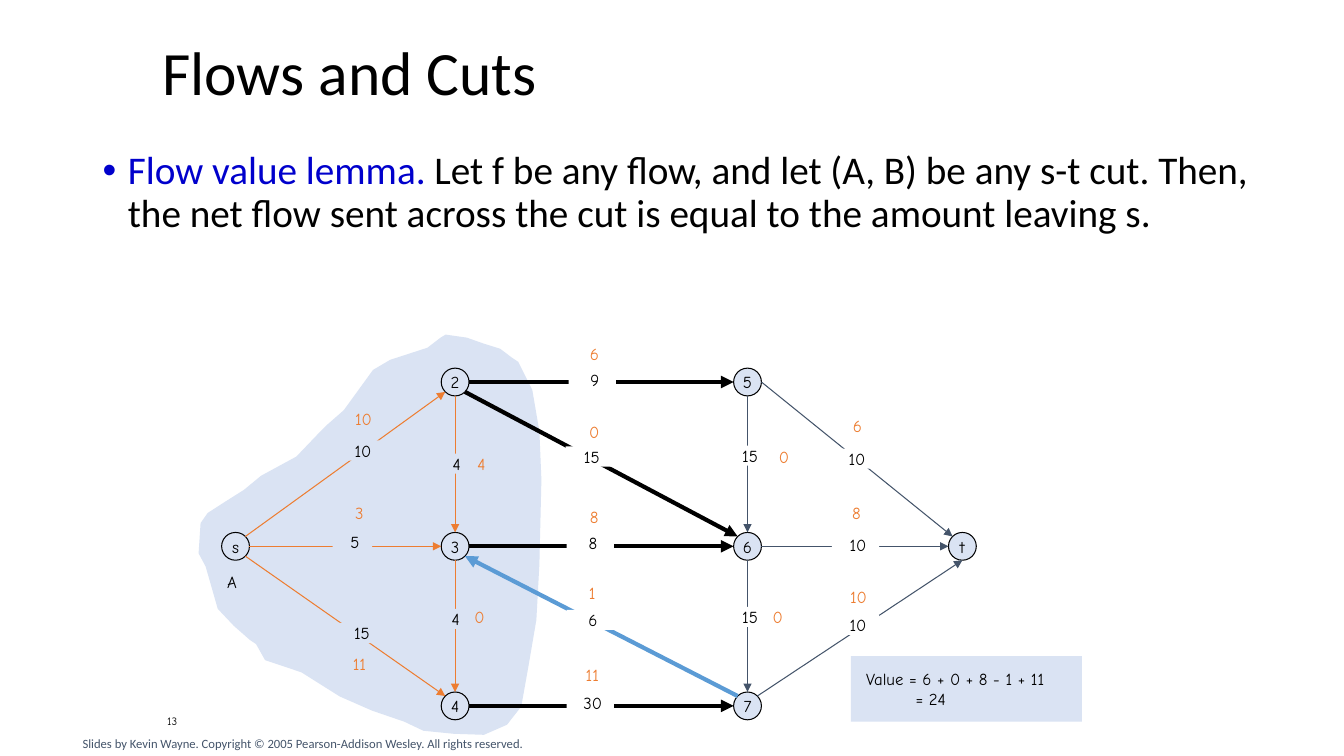
from math import sqrt

from lxml.etree import SubElement
from pptx import Presentation
from pptx.dml.color import RGBColor
from pptx.enum.shapes import MSO_CONNECTOR, MSO_SHAPE
from pptx.enum.text import MSO_ANCHOR, MSO_AUTO_SIZE, PP_ALIGN
from pptx.oxml.ns import qn
from pptx.util import Inches, Pt

BLACK, WHITE, PALE = "000000", "FFFFFF", "DAE3F3"
ORANGE, BLUE, SLATE, INDIGO = "ED7D31", "5B9BD5", "44546A", "0000CC"
HAND, SANS = "Comic Neue", "Calibri"
RADIUS = 1.38

DIAGONAL = sqrt(0.5)
COMPASS = {
    "N": (0, -1), "S": (0, 1), "W": (-1, 0), "E": (1, 0),
    "NE": (DIAGONAL, -DIAGONAL), "NW": (-DIAGONAL, -DIAGONAL),
    "SE": (DIAGONAL, DIAGONAL), "SW": (-DIAGONAL, DIAGONAL),
}
SOURCE, LEFT, RIGHT, SINK = 23.36, 45.14, 74.14, 95.45
TOP, MIDDLE, BOTTOM = 37.9, 54.2, 70.03
NODES = {
    "s": (SOURCE, MIDDLE), "2": (LEFT, TOP), "3": (LEFT, MIDDLE),
    "4": (LEFT, BOTTOM), "5": (RIGHT, TOP), "6": (RIGHT, MIDDLE),
    "7": (RIGHT, BOTTOM), "t": (SINK, MIDDLE),
}
EDGE_STYLES = {
    "inside": (ORANGE, 0.75, PALE),
    "crossing": (BLACK, 3, WHITE),
    "returning": (BLUE, 3, WHITE),
    "outside": (SLATE, 0.75, WHITE),
}
EDGES = [
    ("s", "NE", "2", "SW", "inside", "10", (34.2, 40.5), "10", (32.9, 43.7), 1.5),
    ("s", "E", "3", "W", "inside", "3", (33.8, 49.9), "5", (33, 52.8), 0.5),
    ("s", "SE", "4", "NW", "inside", "11", (33.8, 64.9), "15", (33.3, 61.8), 0.5),
    ("2", "S", "3", "N", "inside", "4", (45.9, 45), "4", (42.7, 45), 0.5),
    ("3", "S", "4", "N", "inside", "0", (45.7, 60.2), "4", (42.6, 60.4), 0.5),
    ("2", "E", "5", "W", "crossing", "6", (57.1, 34.1), "9", (56.4, 36.7), 0.5),
    ("2", "SE", "6", "NW", "crossing", "0", (57.1, 41.8), "15", (56.1, 44.3), 0.5),
    ("3", "E", "6", "W", "crossing", "8", (57.1, 50.3), "8", (56.2, 52.9), 0.5),
    ("4", "E", "7", "W", "crossing", "11", (56.9, 65.9), "30", (56.2, 68.7), 0.5),
    ("7", "NW", "3", "SE", "returning", "1", (56.9, 57.8), "6", (56.2, 60.5), 0.5),
    ("5", "S", "6", "N", "outside", "0", (75.9, 44.3), "15", (71.8, 44.2), 0.5),
    ("6", "S", "7", "N", "outside", "0", (75.3, 60.2), "15", (71.8, 60.2), 0.5),
    ("5", "E", "t", "NW", "outside", "6", (83.2, 41.2), "10", (81.9, 44.5), 1.5),
    ("6", "E", "t", "W", "outside", "8", (83.1, 49.9), "10", (82.5, 53.1), 0.5),
    ("7", "NE", "t", "S", "outside", "10", (83.3, 58.2), "10", (82.5, 61), 0.5),
]
CUT = [
    (44.2, 33.2), (46.3, 33.5), (48, 34.1), (49.6, 34.6), (50.8, 35.5),
    (51.4, 35.9), (52.8, 38.7), (53.5, 42.8), (53.7, 47.6), (53.5, 56),
    (53.2, 61.5), (52.4, 66.2), (51.7, 70.1), (50.6, 71.5), (50.3, 71.9),
    (48, 72.9), (45, 72.8), (42, 72.5), (40.1, 71.6), (36.9, 70.5),
    (33.7, 69.1), (31, 67.4), (29.9, 66.7), (26.3, 65.5), (25.4, 63.9),
    (24.8, 63.5), (23.2, 62.1), (21.6, 60.4), (21, 58.3), (20.4, 56.2),
    (19.7, 54.9), (19.9, 51.9), (20.6, 50.9), (22.3, 49.8), (24.2, 48.6),
    (25.9, 47.2), (29.4, 45.3), (31.5, 43.1), (32.5, 42.1), (34.1, 40.7),
    (37, 36.7), (38.7, 35.7), (42.4, 34.5), (43.7, 33.5),
]


def color(hex_code):
    """Turn a hex string into a colour."""
    return RGBColor.from_string(hex_code)


def write(frame, text, size=12, font=HAND, ink=BLACK, align=PP_ALIGN.LEFT,
          anchor=MSO_ANCHOR.TOP, insets=(0, 0, 0, 0), wrap=True,
          line_spacing=None, bullet=None, tab=None):
    """Fill a frame with one paragraph of text or of (text, colour) parts."""
    frame.auto_size = MSO_AUTO_SIZE.NONE
    frame.word_wrap, frame.vertical_anchor = wrap, anchor
    (frame.margin_left, frame.margin_top,
     frame.margin_right, frame.margin_bottom) = [Inches(i / 10) for i in insets]
    paragraph = frame.paragraphs[0]
    paragraph.alignment, paragraph.line_spacing = align, line_spacing
    properties = paragraph._p.get_or_add_pPr()
    if bullet:
        properties.set("marL", str(Inches(0.25)))
        properties.set("indent", str(Inches(-0.25)))
        SubElement(properties, qn("a:buFont"), typeface="Arial")
        SubElement(properties, qn("a:buChar"), char=bullet)
    if tab:
        stops = SubElement(properties, qn("a:tabLst"))
        SubElement(stops, qn("a:tab"), pos=str(Inches(tab / 10)), algn="l")
    for part, part_ink in [(text, ink)] if isinstance(text, str) else text:
        for index, line in enumerate(part.split("\n")):
            if index:
                paragraph.add_line_break()
            run = paragraph.add_run()
            run.text = line
            run.font.size, run.font.name = Pt(size), font
            run.font.color.rgb = color(part_ink)


class Canvas:
    """Draw on one slide with a grid of 75 rows and square cells."""

    def __init__(self, deck):
        """Add a title-only slide and measure its grid cell."""
        self.slide = deck.slides.add_slide(deck.slide_layouts[5])
        self.shapes = self.slide.shapes
        self.cell = deck.slide_height / 75

    def span(self, *cells):
        """Convert grid cells to slide lengths."""
        return [round(count * self.cell) for count in cells]

    def title(self, box, text):
        """Place and fill the title placeholder."""
        heading = self.shapes.title
        heading.left, heading.top, heading.width, heading.height = self.span(*box)
        write(heading.text_frame, text, size=44, font=SANS, line_spacing=0.9,
              anchor=MSO_ANCHOR.MIDDLE, insets=(1, 0.5, 1, 0.5))

    def text(self, box, text, **style):
        """Add a text box."""
        write(self.shapes.add_textbox(*self.span(*box)).text_frame, text, **style)

    def paint(self, shape, fill, outline=None):
        """Give a shape its fill and outline without a shadow."""
        shape.shadow.inherit = False
        shape.fill.solid()
        shape.fill.fore_color.rgb = color(fill)
        if outline:
            shape.line.color.rgb = color(outline)
            shape.line.width = Pt(0.75)
        else:
            shape.line.fill.background()

    def panel(self, box, text, fill, **style):
        """Add a filled rectangle with text."""
        panel = self.shapes.add_shape(MSO_SHAPE.RECTANGLE, *self.span(*box))
        self.paint(panel, fill)
        write(panel.text_frame, text, **style)

    def region(self, points, fill):
        """Add a closed outline."""
        start, *rest = [self.span(*point) for point in points]
        builder = self.shapes.build_freeform(*start)
        builder.add_line_segments(rest, close=True)
        self.paint(builder.convert_to_shape(), fill)

    def node(self, name, center):
        """Add a labelled graph node."""
        x, y = center
        box = self.span(x - RADIUS, y - RADIUS, 2 * RADIUS, 2 * RADIUS)
        node = self.shapes.add_shape(MSO_SHAPE.OVAL, *box)
        self.paint(node, PALE, BLACK)
        write(node.text_frame, name, align=PP_ALIGN.CENTER, wrap=False,
              anchor=MSO_ANCHOR.MIDDLE, insets=(1, 0.5, 1, 0.5))

    def port(self, name, side):
        """Find the point of a node's rim that faces a compass side."""
        return self.span(*[center + RADIUS * step
                           for center, step in zip(NODES[name], COMPASS[side])])

    def arrow(self, start, end, ink, width):
        """Add a straight arrow."""
        arrow = self.shapes.add_connector(MSO_CONNECTOR.STRAIGHT, *start, *end)
        arrow.line.color.rgb, arrow.line.width = color(ink), Pt(width)
        properties = arrow._element.spPr
        SubElement(properties.find(qn("a:ln")), qn("a:tailEnd"), type="triangle")
        SubElement(properties, qn("a:effectLst"))


def main():
    """Build the slide on flows and cuts."""
    deck = Presentation()
    deck.slide_width, deck.slide_height = Inches(13.33), Inches(7.5)
    canvas = Canvas(deck)
    canvas.text((15.6, 69.5, 23.6, 4), "13", size=8, anchor=MSO_ANCHOR.MIDDLE,
                insets=(1, 0.5, 1, 0.5))
    canvas.region(CUT, PALE)
    canvas.title((15.1, 2.9, 115, 9.1), "Flows and Cuts")
    for name, center in NODES.items():
        canvas.node(name, center)
    for tail, leaving, head, entering, kind, *_ in EDGES:
        canvas.arrow(canvas.port(tail, leaving), canvas.port(head, entering),
                     *EDGE_STYLES[kind][:2])
    for *_, kind, flow, flow_at, capacity, capacity_at, indent in EDGES:
        width = 3.9 if capacity == "5" else 4.7
        canvas.panel((*capacity_at, width, 2), capacity, EDGE_STYLES[kind][2],
                     align=PP_ALIGN.CENTER, insets=(indent, 0, 0, 0))
        canvas.text((*flow_at, 3.7, 1.9), flow, ink=ORANGE, align=PP_ALIGN.CENTER)
    canvas.panel((84.4, 65.1, 22.9, 6.5), "Value = 6 + 0 + 8 - 1 + 11\n\t= 24", PALE,
                 anchor=MSO_ANCHOR.MIDDLE, insets=(1.5, 1, 1, 1), tab=4.9)
    canvas.text((22.4, 56.7, 1.2, 2), "A", align=PP_ALIGN.CENTER, wrap=False)
    lemma = [("Flow value lemma. ", INDIGO),
             ("Let f be any flow, and let (A, B) be any s-t cut. Then, the net flow "
              "sent across the cut is equal to the amount leaving s.", BLACK)]
    canvas.text((9.2, 14.5, 120.9, 11.4), lemma, size=28, font=SANS, bullet="•",
                line_spacing=0.9, insets=(1, 0.5, 1, 0.5))
    canvas.text((7.2, 72.5, 56.2, 2.5),
                "Slides by Kevin Wayne. Copyright © 2005 Pearson-Addison Wesley. "
                "All rights reserved.",
                size=9, font=SANS, ink=SLATE, insets=(1, 0.5, 1, 0.5))
    deck.save("out.pptx")


if __name__ == "__main__":
    main()
